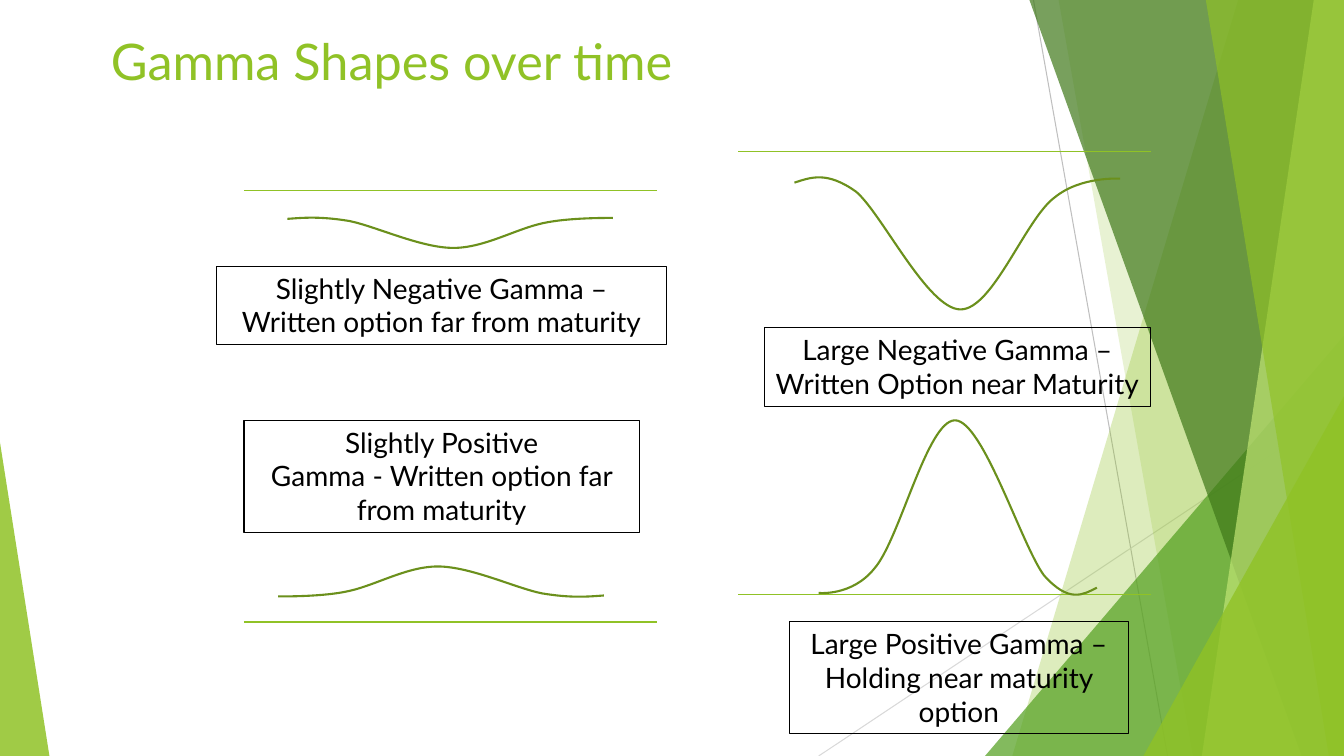
from lxml import etree
from pptx import Presentation
from pptx.dml.color import RGBColor
from pptx.enum.shapes import MSO_CONNECTOR, MSO_SHAPE
from pptx.enum.text import MSO_ANCHOR, MSO_AUTO_SIZE, PP_ALIGN
from pptx.oxml.ns import qn
from pptx.util import Inches, Pt

STRAIGHT = MSO_CONNECTOR.STRAIGHT
TRIANGLE = MSO_SHAPE.ISOSCELES_TRIANGLE
TOP = MSO_ANCHOR.TOP
NO_FIT, GROW = MSO_AUTO_SIZE.NONE, MSO_AUTO_SIZE.SHAPE_TO_FIT_TEXT
LEFT, CENTER = PP_ALIGN.LEFT, PP_ALIGN.CENTER

WIDTH, HEIGHT = Inches(13.33), Inches(7.5)
COLUMNS, ROWS = 133.3, 75
TITLE_ONLY_LAYOUT = 5

COLORS = {
    "lime": "90C226", "pale lime": "C0E474", "green": "54A021",
    "forest": "3F7819", "olive": "6B901C", "black": "000000",
    "silver": "BFBFBF", "light silver": "D9D9D9",
}
TITLE_FORMAT = {"name": "Lato", "size": Pt(36), "bold": False}
LABEL_FORMAT = {"name": "Lato", "size": Pt(20)}
TITLE_FRAME = {"word_wrap": True, "auto_size": NO_FIT, "vertical_anchor": TOP}
LABEL_FRAME = {"word_wrap": True, "auto_size": GROW, "vertical_anchor": TOP}

BACKGROUND_LINES = [
    (102.5, 0, 115.8, 75, "silver"),
    (133.3, 40.3, 81.2, 75, "light silver"),
]
BANDS_BEHIND = [(122.8, 100.4, "lime", 30), (105, 118.3, "lime", 20)]
BANDS_FRONT = [
    (102.1, 129.1, "forest", 70),
    (130.3, 119.2, "pale lime", 70),
    (119.6, 131.8, "lime", 65),
]
CORNER_BEHIND = (97.7, 33.3, 35.6, 1, "green", 72)
CORNERS_FRONT = [
    (113.4, 39.3, 19.9, 1, "lime", 80),
    (0, 43.9, 4.9, 0, "lime", 85),
]
LABELS = [
    (21.5, 26.4, 44.6, 7.8,
     ["Slightly Negative Gamma – Written option far from maturity"]),
    (75.8, 32.5, 38.3, 7.8,
     ["Large Negative Gamma – Written Option near Maturity"]),
    (24.2, 41.7, 39.2, 11.1,
     ["Slightly Positive", "Gamma - Written option far from maturity"]),
    (78.3, 61.7, 33.6, 11.1,
     ["Large Positive Gamma – Holding near maturity option"]),
]
AXES = [(24.2, 18.9), (73.2, 59), (24.2, 61.7), (73.2, 15)]
AXIS_LENGTH = 41
DIP = [
    (0, 0.04), (0.05, 0), (0.1, -0.05), (0.19, 0.11), (0.27, 0.28),
    (0.41, 1), (0.51, 1), (0.61, 1), (0.71, 0.31), (0.8, 0.15),
    (0.88, -0.01), (1, 0.01), (1, 0.01),
]
CURVES = [
    (78.8, 17.6, 32.3, 13.1, False),
    (28.5, 21.6, 32.3, 3, False),
    (27.6, 56.2, 32.3, 3, True),
    (81.2, 41.7, 27.6, 17.3, True),
]


def across(columns):
    """Turn grid columns into a slide length."""
    return round(WIDTH * columns / COLUMNS)


def down(rows):
    """Turn grid rows into a slide length."""
    return round(HEIGHT * rows / ROWS)


def color(name):
    """Return a named colour."""
    return RGBColor.from_string(COLORS[name])


def apply_format(target, values):
    """Set every attribute in the format on the target."""
    for name, value in values.items():
        setattr(target, name, value)


def paint(shape, fill_name, opacity):
    """Fill a shape with a translucent colour and no outline."""
    shape.shadow.inherit = False
    shape.line.fill.background()
    shape.fill.solid()
    shape.fill.fore_color.rgb = color(fill_name)
    paint_color = shape.fill._xPr.find(f".//{qn('a:srgbClr')}")
    etree.SubElement(paint_color, qn("a:alpha"), val=str(opacity * 1000))


def add_line(slide, left, top, right, bottom, color_name, weight):
    """Draw a straight line between two grid points."""
    line = slide.shapes.add_connector(
        STRAIGHT, across(left), down(top), across(right), down(bottom))
    apply_format(line.line, {"width": Pt(weight)})
    line.line.color.rgb = color(color_name)
    etree.SubElement(line._element.spPr, qn("a:effectLst"))


def add_band(slide, top_edge, bottom_edge, color_name, opacity):
    """Draw a slanted band that reaches the right side of the slide."""
    builder = slide.shapes.build_freeform(across(top_edge), 0)
    builder.add_line_segments(
        [(WIDTH, 0), (WIDTH, HEIGHT), (across(bottom_edge), HEIGHT)])
    paint(builder.convert_to_shape(), color_name, opacity)


def add_corner(slide, left, top, width, apex, color_name, opacity):
    """Draw a right-angled triangle standing on the slide's bottom edge."""
    shape = slide.shapes.add_shape(
        TRIANGLE, across(left), down(top), across(width), down(ROWS - top))
    shape.adjustments[0] = apex
    paint(shape, color_name, opacity)


def add_curve(slide, left, top, width, height, is_hump):
    """Draw the gamma curve as a dip, or turned half round as a hump."""
    shares = [(1 - x, 1 - y) if is_hump else (x, y) for x, y in DIP]
    points = [(across(left + width * x), down(top + height * y))
              for x, y in shares]
    builder = slide.shapes.build_freeform(*points[0])
    builder.add_line_segments(points[1:], close=False)
    shape = builder.convert_to_shape()
    outline = shape._element.find(f".//{qn('a:path')}")
    segments = outline.findall(qn("a:lnTo"))
    for start in range(0, len(segments), 3):
        bezier = etree.SubElement(outline, qn("a:cubicBezTo"))
        for segment in segments[start:start + 3]:
            bezier.append(segment[0])
            outline.remove(segment)
    shape.shadow.inherit = False
    shape.fill.background()
    shape.line.width = Pt(1.5)
    shape.line.color.rgb = color("olive")


def write(text_frame, texts, frame_format, font_format, alignment, color_name):
    """Write formatted paragraphs into a text frame."""
    apply_format(text_frame, frame_format)
    for index, text in enumerate(texts):
        paragraph = (text_frame.add_paragraph() if index
                     else text_frame.paragraphs[0])
        paragraph.alignment = alignment
        run = paragraph.add_run()
        run.text = text
        apply_format(run.font, font_format)
        run.font.color.rgb = color(color_name)


def add_label(slide, left, top, width, height, texts):
    """Add an outlined caption for a curve."""
    label = slide.shapes.add_textbox(
        across(left), down(top), across(width), down(height))
    label.line.width = Pt(0.75)
    label.line.color.rgb = color("black")
    write(label.text_frame, texts, LABEL_FRAME, LABEL_FORMAT, CENTER, "black")


def add_background(slide):
    """Draw the overlapping green facets."""
    for line in BACKGROUND_LINES:
        add_line(slide, *line, 0.75)
    for band in BANDS_BEHIND:
        add_band(slide, *band)
    add_corner(slide, *CORNER_BEHIND)
    for band in BANDS_FRONT:
        add_band(slide, *band)
    for corner in CORNERS_FRONT:
        add_corner(slide, *corner)


def main():
    """Build the slide and save it."""
    presentation = Presentation()
    apply_format(presentation, {"slide_width": WIDTH, "slide_height": HEIGHT})
    slide = presentation.slides.add_slide(
        presentation.slide_layouts[TITLE_ONLY_LAYOUT])
    add_background(slide)
    title = slide.shapes.title
    apply_format(title, {"left": across(10), "top": down(2.5),
                         "width": across(113.3), "height": down(12.5)})
    write(title.text_frame, ["Gamma Shapes over time"],
          TITLE_FRAME, TITLE_FORMAT, LEFT, "lime")
    for label in LABELS:
        add_label(slide, *label)
    for left, top in AXES:
        add_line(slide, left, top, left + AXIS_LENGTH, top, "lime", 1)
    for curve in CURVES:
        add_curve(slide, *curve)
    presentation.save("out.pptx")


if __name__ == "__main__":
    main()
